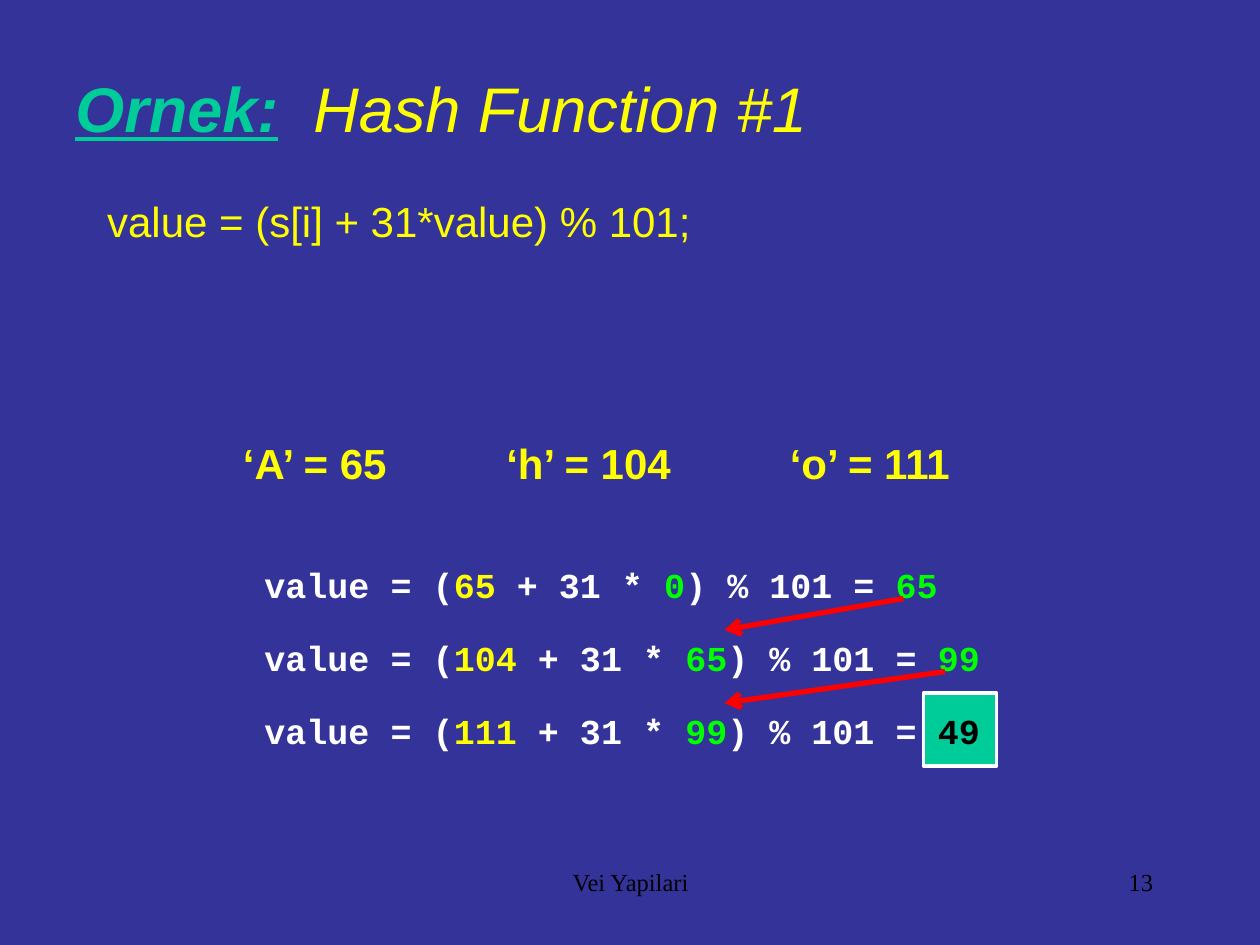
from lxml.etree import SubElement
from pptx import Presentation
from pptx.dml.color import RGBColor
from pptx.enum.shapes import MSO_CONNECTOR, MSO_SHAPE
from pptx.enum.text import MSO_ANCHOR, MSO_AUTO_SIZE, PP_ALIGN
from pptx.oxml.ns import qn
from pptx.util import Inches, Pt

NAVY = RGBColor(0x33, 0x33, 0x99)
TEAL = RGBColor(0x00, 0xCC, 0x99)
WHITE = RGBColor(0xFF, 0xFF, 0xFF)
YELLOW = RGBColor(0xFF, 0xFF, 0x00)
GREEN = RGBColor(0x00, 0xFF, 0x00)
RED = RGBColor(0xFF, 0x00, 0x00)
BLACK = RGBColor(0x00, 0x00, 0x00)


def style(run, size, font, color, bold=False):
    run.font.size = Pt(size)
    run.font.name = font
    run.font.color.rgb = color
    run.font.bold = bold


def add_text(slide, box, parts, size, font, bold=False, align=PP_ALIGN.LEFT):
    frame = slide.shapes.add_textbox(*map(Inches, box)).text_frame
    frame.word_wrap = True
    para = frame.paragraphs[0]
    para.alignment = align
    for text, color in parts:
        run = para.add_run()
        run.text = text
        style(run, size, font, color, bold)
    return para


def set_title(slide, text):
    title = slide.shapes.title
    title.left, title.top = Inches(0.75), Inches(1.33)
    title.width, title.height = Inches(7.08), Inches(0.84)
    frame = title.text_frame
    frame.text = text
    frame.word_wrap = True
    frame.auto_size = MSO_AUTO_SIZE.NONE
    frame.vertical_anchor = MSO_ANCHOR.MIDDLE
    para = frame.paragraphs[0]
    para.alignment = PP_ALIGN.LEFT
    style(para.runs[0], 24, "Arial", YELLOW)


def add_head(slide):
    parts = [("Ornek:", TEAL), ("  Hash Function #1", YELLOW)]
    para = add_text(slide, (0.5, 0.5, 8.75, 0.7), parts, 36, "Arial")
    for run in para.runs:
        run.font.italic = True
    label = para.runs[0].font
    label.bold = label.underline = True


def add_square(slide):
    square = slide.shapes.add_shape(
        MSO_SHAPE.RECTANGLE, Inches(7.33), Inches(5.5), Inches(0.58), Inches(0.58))
    square.shadow.inherit = False
    square.fill.solid()
    square.fill.fore_color.rgb = TEAL
    square.line.color.rgb = WHITE
    square.line.width = Pt(2)


def add_step(slide, top, code, prev, total, color):
    parts = [("value = (", WHITE), (code, YELLOW), (" + 31 * ", WHITE),
             (prev, GREEN), (") % 101 = ", WHITE), (total, color)]
    add_text(slide, (2, top, 6.08, 0.43), parts, 20, "Courier New", True)


def add_arrow(slide, *ends):
    arrow = slide.shapes.add_connector(MSO_CONNECTOR.STRAIGHT, *map(Inches, ends))
    arrow.line.color.rgb = RED
    arrow.line.width = Pt(3)
    SubElement(arrow.line._get_or_add_ln(), qn("a:tailEnd"), type="arrow")
    SubElement(arrow._element.spPr, qn("a:effectLst"))


def main():
    deck = Presentation()
    deck.slide_width, deck.slide_height = Inches(10), Inches(7.5)
    slide = deck.slides.add_slide(deck.slide_layouts[5])
    slide.background.fill.solid()
    slide.background.fill.fore_color.rgb = NAVY

    set_title(slide, "value = (s[i] + 31*value) % 101;")
    add_head(slide)
    add_square(slide)

    for left, text in [(1.83, "‘A’ = 65"), (3.92, "‘h’ = 104"), (6.17, "‘o’ = 111")]:
        add_text(slide, (left, 3.42, 1.58, 0.5), [(text, YELLOW)], 24, "Arial", True)

    steps = [("65", "0", "65", GREEN), ("104", "65", "99", GREEN),
             ("111", "99", "49", BLACK)]
    for row, step in enumerate(steps):
        add_step(slide, 4.42 + 0.58 * row, *step)

    for row, start in enumerate([7.17, 7.5]):
        top = 4.75 + 0.58 * row
        add_arrow(slide, start, top, 5.75, top + 0.25)

    for left, width, text, align in [(3.42, 3.17, "Vei Yapilari", PP_ALIGN.CENTER),
                                     (7.17, 2.08, "13", PP_ALIGN.RIGHT)]:
        add_text(slide, (left, 6.83, width, 0.5), [(text, BLACK)], 14,
                 "Times New Roman", align=align)
    deck.save("out.pptx")


if __name__ == "__main__":
    main()
